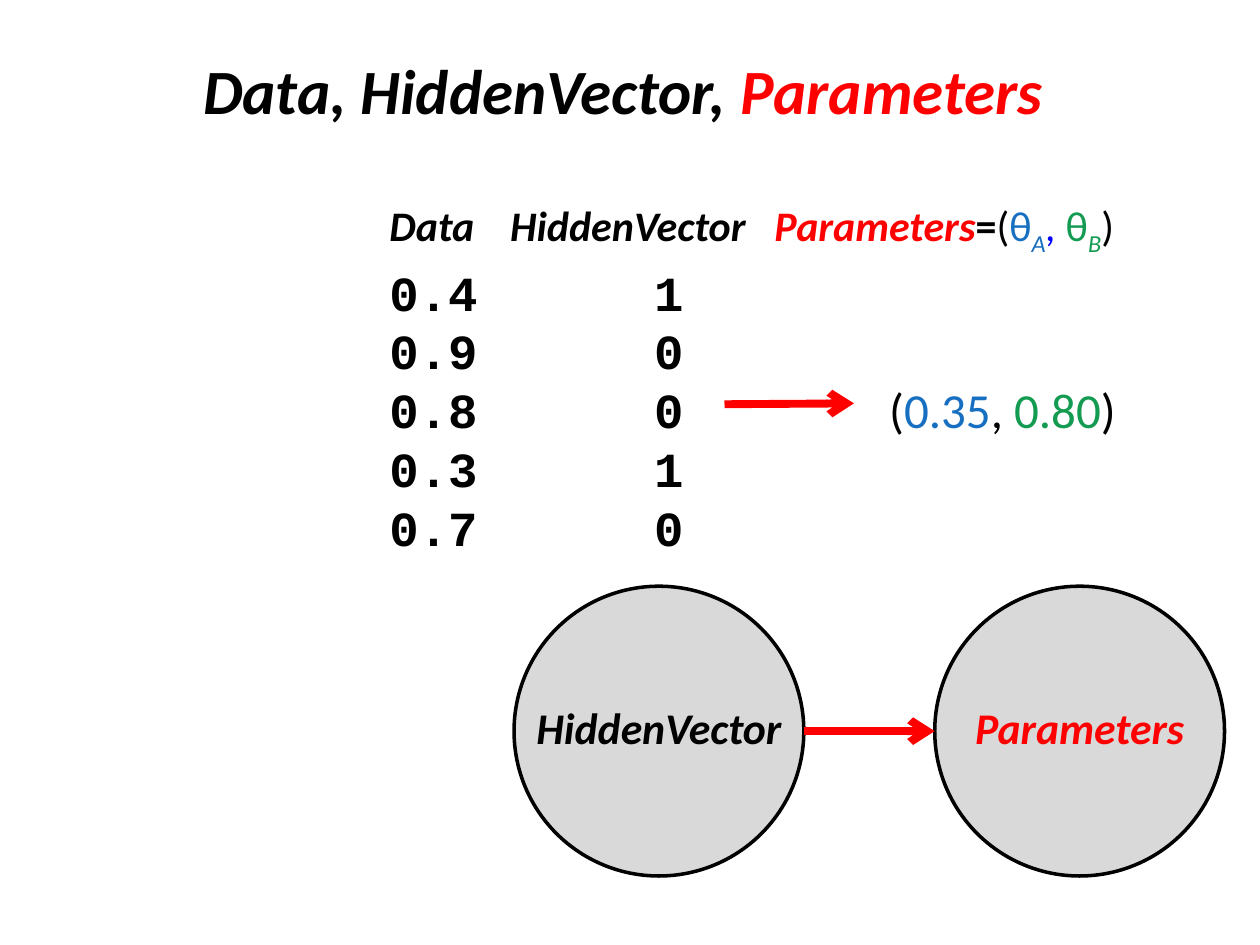
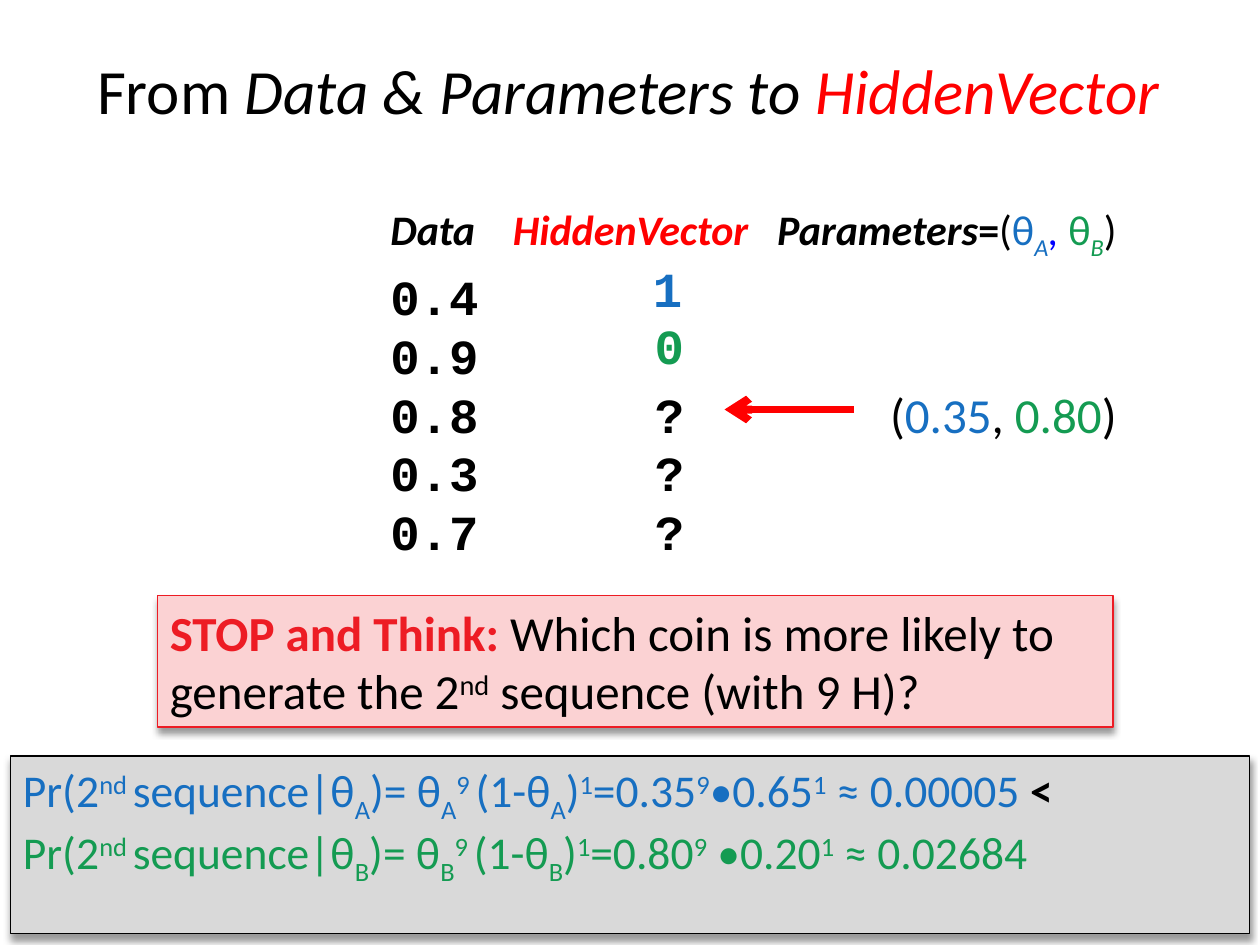
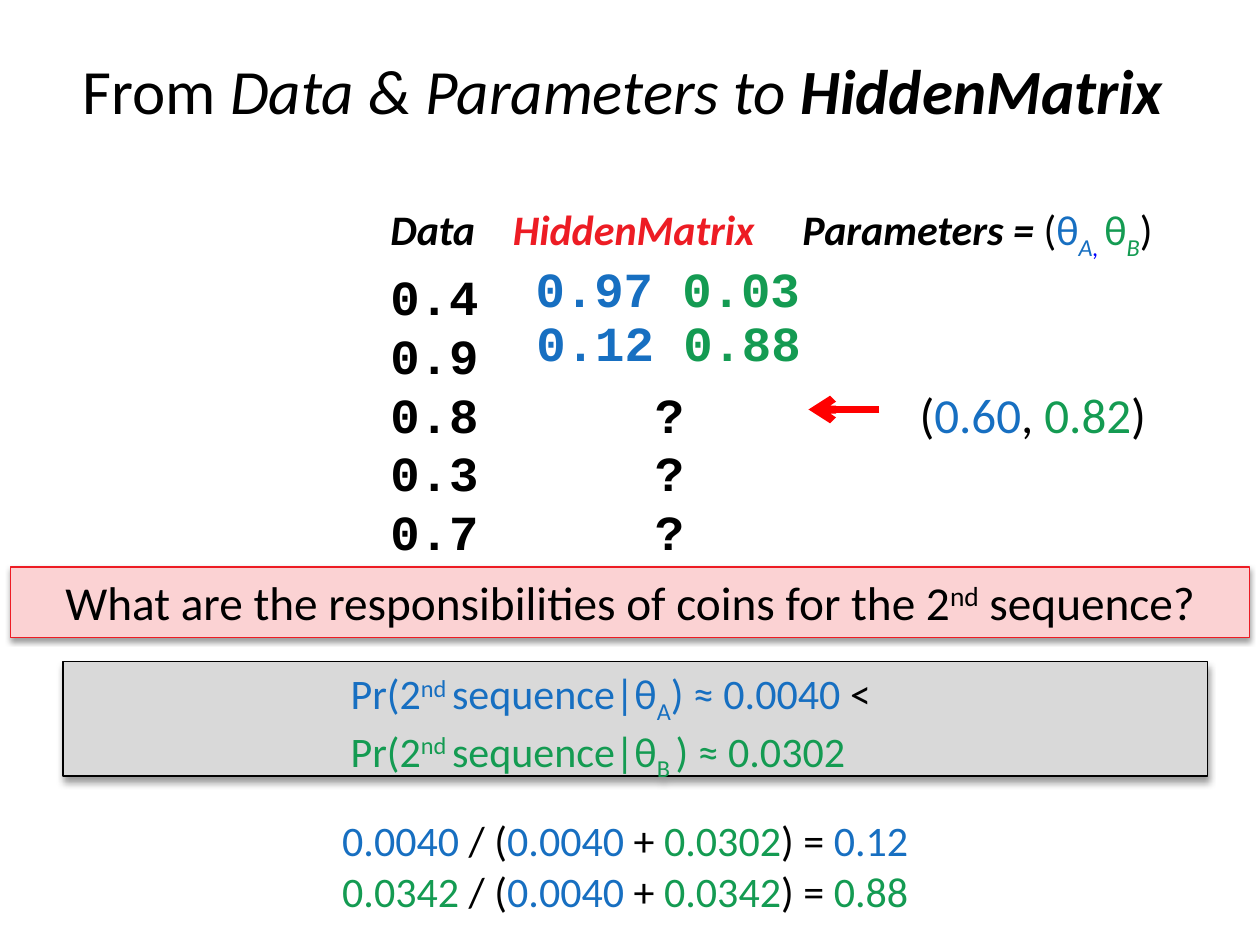
"""Build three slides on coin data, hidden assignments and parameters."""
from lxml.etree import SubElement
from pptx import Presentation
from pptx.dml.color import RGBColor
from pptx.enum.shapes import MSO_CONNECTOR, MSO_SHAPE
from pptx.enum.text import MSO_ANCHOR, PP_ALIGN
from pptx.oxml.ns import qn
from pptx.util import Pt

BLACK = RGBColor(0x00, 0x00, 0x00)
RED = RGBColor(0xFF, 0x00, 0x00)
CRIMSON = RGBColor(0xED, 0x1C, 0x24)
PINK = RGBColor(0xFB, 0xD2, 0xD3)
GRAY = RGBColor(0xD9, 0xD9, 0xD9)
BLUE = RGBColor(0x17, 0x6F, 0xC1)
GREEN = RGBColor(0x14, 0x9B, 0x52)
COMMA = RGBColor(0x00, 0x00, 0xFF)
SANS, MONO = "Calibri", "Courier New"
CENTER, LEFT = PP_ALIGN.CENTER, PP_ALIGN.LEFT
BASELINES = {"^": "30000", "_": "-25000"}
DATA = ["0.4", "0.9", "0.8", "0.3", "0.7"]
CHAR_W = 16.8


def add_runs(p, runs, size, font=SANS):
    """Append (text, colour, flags) runs; flags are b, i, ^ and _."""
    for text, color, flags in runs:
        r = p.add_run()
        r.text = text
        r.font.name, r.font.size = font, Pt(size)
        r.font.bold, r.font.italic = "b" in flags, "i" in flags
        r.font.color.rgb = color
        for flag in BASELINES.keys() & set(flags):
            r.font._element.set("baseline", BASELINES[flag])


def add_tabs(p, stops):
    """Set left tab stops on a paragraph."""
    tabs = SubElement(p._p.get_or_add_pPr(), qn("a:tabLst"))
    for stop in stops:
        SubElement(tabs, qn("a:tab"), pos=str(Pt(stop)), algn="l")


def fill_text(tf, lines, size, font=SANS, align=LEFT, indent=0):
    """Write one paragraph for each list of runs."""
    tf.word_wrap = True
    for i, runs in enumerate(lines):
        p = tf.add_paragraph() if i else tf.paragraphs[0]
        p.alignment = align
        if indent:
            p._p.get_or_add_pPr().set("marL", str(Pt(indent)))
        add_runs(p, runs, size, font)


def add_text(s, box, lines, size, **style):
    """Add a text box and return its text frame."""
    tf = s.shapes.add_textbox(*map(Pt, box)).text_frame
    fill_text(tf, lines, size, **style)
    return tf


def add_title(s, box, runs):
    """Add the slide title."""
    add_text(s, box, [runs], 36, align=CENTER).vertical_anchor = MSO_ANCHOR.MIDDLE


def add_filled(s, kind, box, fill, line, width):
    """Add a filled and outlined shape without a shadow."""
    sp = s.shapes.add_shape(kind, *map(Pt, box))
    sp.shadow.inherit = False
    sp.fill.solid()
    sp.fill.fore_color.rgb = fill
    sp.line.color.rgb = line
    sp.line.width = Pt(width)
    return sp


def add_panel(s, box, colors, lines, size, shadow=(40, 4, 3), **style):
    """Add a text panel with a soft shadow below it."""
    sp = add_filled(s, MSO_SHAPE.RECTANGLE, box, *colors, 0.75)
    alpha, blur, dist = shadow
    effects = sp._element.spPr.find(qn("a:effectLst"))
    outer = SubElement(effects, qn("a:outerShdw"), blurRad=str(Pt(blur)),
                       dist=str(Pt(dist)), dir="5400000", rotWithShape="0")
    color = SubElement(outer, qn("a:srgbClr"), val=str(BLACK))
    SubElement(color, qn("a:alpha"), val=str(alpha * 1000))
    sp.text_frame.vertical_anchor = MSO_ANCHOR.TOP
    fill_text(sp.text_frame, lines, size, **style)


def add_arrow(s, x1, y1, x2, y2):
    """Add a thick red arrow."""
    line = s.shapes.add_connector(MSO_CONNECTOR.STRAIGHT, *map(Pt, (x1, y1, x2, y2)))
    line.line.color.rgb = RED
    line.line.width = Pt(4.5)
    SubElement(line.line._get_or_add_ln(), qn("a:tailEnd"), type="arrow")
    SubElement(line._element.spPr, qn("a:effectLst"))


def add_observations(s, box, header, header_stops, hidden, pair, pair_col):
    """Add the data column, the hidden column and the parameter pair."""
    tf = add_text(s, box, [header], 24)
    add_tabs(tf.paragraphs[0], header_stops)
    for i, (value, state) in enumerate(zip(DATA, hidden)):
        p = tf.add_paragraph()
        add_tabs(p, [9 * CHAR_W, pair_col * CHAR_W])
        p.line_spacing = Pt(33.6)
        p.space_before = Pt(0 if i else 3)
        text = f"{value}\t{state}" if state else value
        add_runs(p, [(text, BLACK, "b")], 28, MONO)
        if i == 2:
            a, b = pair
            add_runs(p, [("\t(", BLACK, ""), (a, BLUE, ""), (", ", BLACK, ""),
                         (b, GREEN, ""), (")", BLACK, "")], 28)


def thetas(comma_flags="i"):
    """Return the runs of the pair of coin parameters."""
    return [("(", BLACK, ""), ("θ", BLUE, ""), ("A", BLUE, "i_"),
            (", ", COMMA, comma_flags), ("θ", GREEN, ""), ("B", GREEN, "i_"),
            (")", BLACK, "")]


def likelihood(coin, color):
    """Return the runs that open a coin's likelihood."""
    return [("Pr(2", color, ""), ("nd ", color, "^"), ("sequence|θ", color, ""),
            (coin, color, "_")]


def expansion(coin, color, p, q, times, result):
    """Return the runs of a coin's full likelihood."""
    theta = (coin, color, "_")
    return likelihood(coin, color) + [
        (")= θ", color, ""), theta, ("9 ", color, "^"), ("(1-θ", color, ""), theta,
        (")", color, ""), ("1", color, "^"), (f"={p}", color, ""), ("9", color, "^"),
        (f"{times}{q}", color, ""), ("1", color, "^"), (f" ≈ {result}", color, "")]


def share(part, color, other, result):
    """Return the runs of one coin's responsibility."""
    return [(f"{part} ", color, ""), ("/ (", BLACK, ""), ("0.0040 ", BLUE, ""),
            ("+ ", BLACK, ""), (other, GREEN, ""), (") = ", BLACK, ""),
            (f"{result} ", color, "")]


def add_flow(s, box):
    """Add two labelled circles joined by an arrow."""
    x, y, w, d = box
    nodes = [("HiddenVector", BLACK, x), ("Parameters", RED, x + w - d)]
    for name, color, left in nodes:
        add_filled(s, MSO_SHAPE.OVAL, (left, y, d, d), GRAY, BLACK, 2)
        add_text(s, (left, y + 62, d, 37.4), [[(name, color, "bi")]], 25, align=CENTER)
    add_arrow(s, x + d, y + d / 2, x + w - d, y + d / 2)


def parameters_slide(s):
    """Fill the slide that finds the parameters."""
    add_title(s, (36, 6, 648, 90),
              [("Data, HiddenVector, ", BLACK, "bi"), ("Parameters ", RED, "bi")])
    add_flow(s, (293.76, 335, 406, 165.6))
    header = [("Data\tHiddenVector\t", BLACK, "bi"), ("Parameters", RED, "bi"),
              ("=", BLACK, "b")] + thetas()
    add_observations(s, (215.5, 110.5, 504, 240), header, [69, 220], "10010",
                     ("0.35", "0.80"), 17)
    add_arrow(s, 414, 231, 488, 230.5)


def vector_slide(s):
    """Fill the slide that finds the hidden vector."""
    header = [("Data\t", BLACK, "bi"), ("HiddenVector", RED, "bi"),
              ("\tParameters", BLACK, "bi"), ("=", BLACK, "b")] + thetas()
    add_observations(s, (216, 113, 504, 240), header, [70, 221], ["", "", *"???"],
                     ("0.35", "0.80"), 17)
    add_title(s, (30, 6, 666, 90),
              [("From ", BLACK, ""), ("Data & Parameters to ", BLACK, "i"),
               ("HiddenVector ", RED, "i")])
    for x, y, state, color in [(366, 144, "1", BLUE), (367, 177, "0", GREEN)]:
        add_text(s, (x, y, 28, 41), [[(state, color, "b")]], 28, font=MONO)
    tf_lines = [expansion("A", BLUE, "0.35", "0.65", "•", "0.00005 ") + [("< ", BLACK, "b")],
                expansion("B", GREEN, "0.80", "0.20", " •", "0.02684")]
    add_panel(s, (6, 432, 708, 101.5), (GRAY, BLACK), tf_lines, 26)
    add_panel(s, (90, 340.5, 546, 75), (PINK, CRIMSON),
              [[("STOP and Think: ", CRIMSON, "b"),
                ("Which coin is more likely to generate the 2", BLACK, ""),
                ("nd", BLACK, "^"), (" sequence (with 9 H)?", BLACK, "")]], 28)
    add_arrow(s, 488, 234, 414, 234)
    return s


def matrix_slide(s):
    """Fill the slide that finds the hidden matrix."""
    header = [("Data\t", BLACK, "bi"), ("HiddenMatrix", CRIMSON, "bi"),
              ("\tParameters = ", BLACK, "bi")] + thetas("i_")
    add_observations(s, (216, 113, 504, 240), header, [70, 235.5], ["", "", *"???"],
                     ("0.60", "0.82"), 18)
    add_title(s, (24, 6, 672, 90),
              [("From ", BLACK, ""), ("Data & Parameters to ", BLACK, "i"),
               ("HiddenMatrix ", BLACK, "bi")])
    add_text(s, (0, 462, 720, 65.5),
             [share("0.0040", BLUE, "0.0302", "0.12"),
              share("0.0342", GREEN, "0.0342", "0.88")], 24, align=CENTER)
    add_panel(s, (6, 324, 708, 40.3), (PINK, CRIMSON),
              [[("What are the responsibilities of coins for the 2", BLACK, ""),
                ("nd", BLACK, "^"), (" sequence?", BLACK, "")]], 27,
              shadow=(38, 3.1, 1.6), align=CENTER)
    add_panel(s, (36, 378, 654, 65.5), (GRAY, BLACK),
              [likelihood("A", BLUE) + [(") ≈ 0.0040 ", BLUE, ""), ("<", BLACK, "")],
               likelihood("B ", GREEN) + [(") ≈ 0.0302", GREEN, "")]], 24, indent=157.3)
    add_arrow(s, 502.5, 234, 462, 234)
    for x, y, a, b in [(299, 144, "0.97", "0.03"), (299.5, 175, "0.12", "0.88")]:
        add_text(s, (x, y, 169, 41), [[(f"{a} ", BLUE, "b"), (b, GREEN, "b")]], 28,
                 font=MONO)


def main():
    """Build the deck and save it."""
    prs = Presentation()
    prs.slide_width, prs.slide_height = Pt(720), Pt(540)
    for build in (parameters_slide, vector_slide, matrix_slide):
        build(prs.slides.add_slide(prs.slide_layouts[6]))
    prs.save("out.pptx")


if __name__ == "__main__":
    main()
